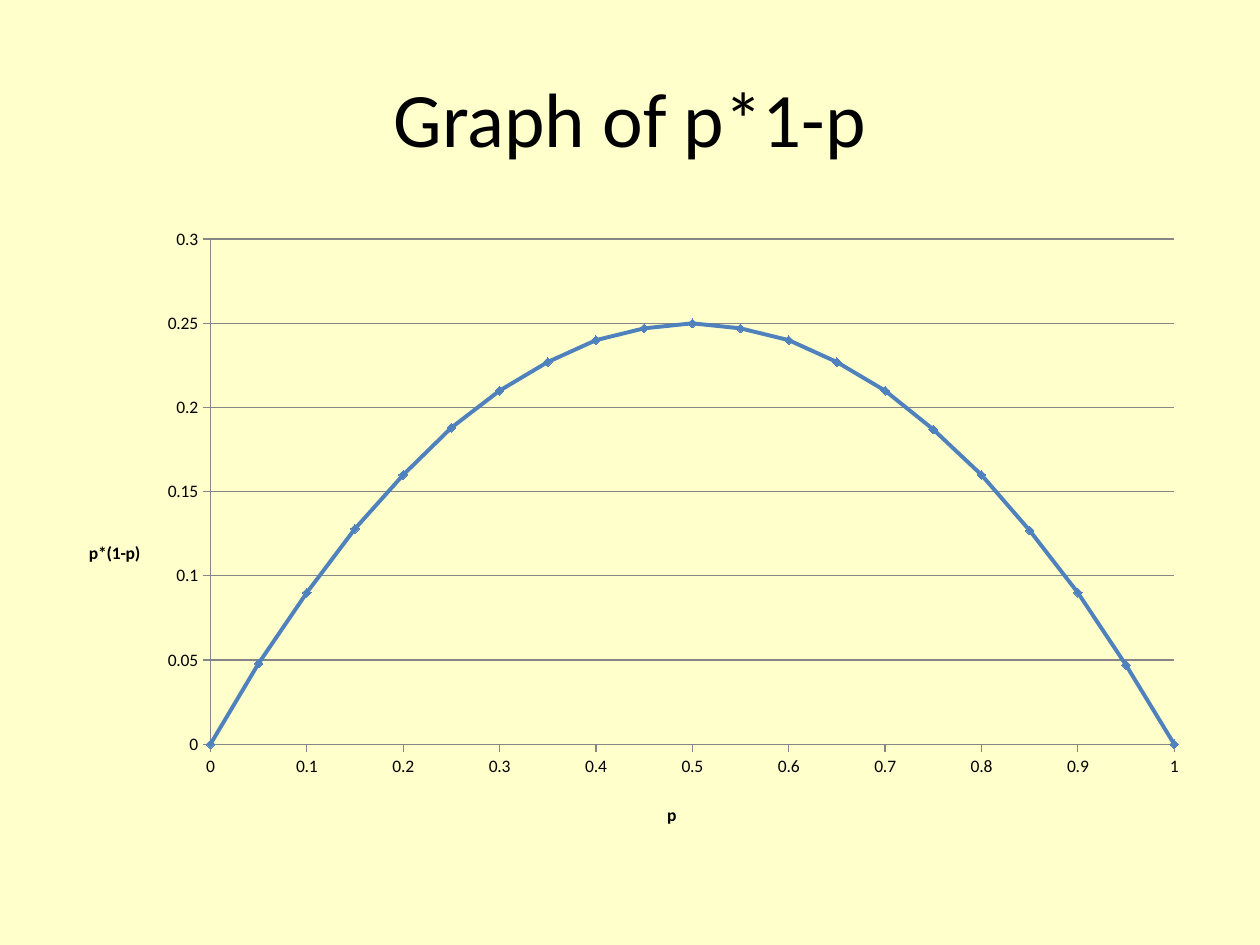
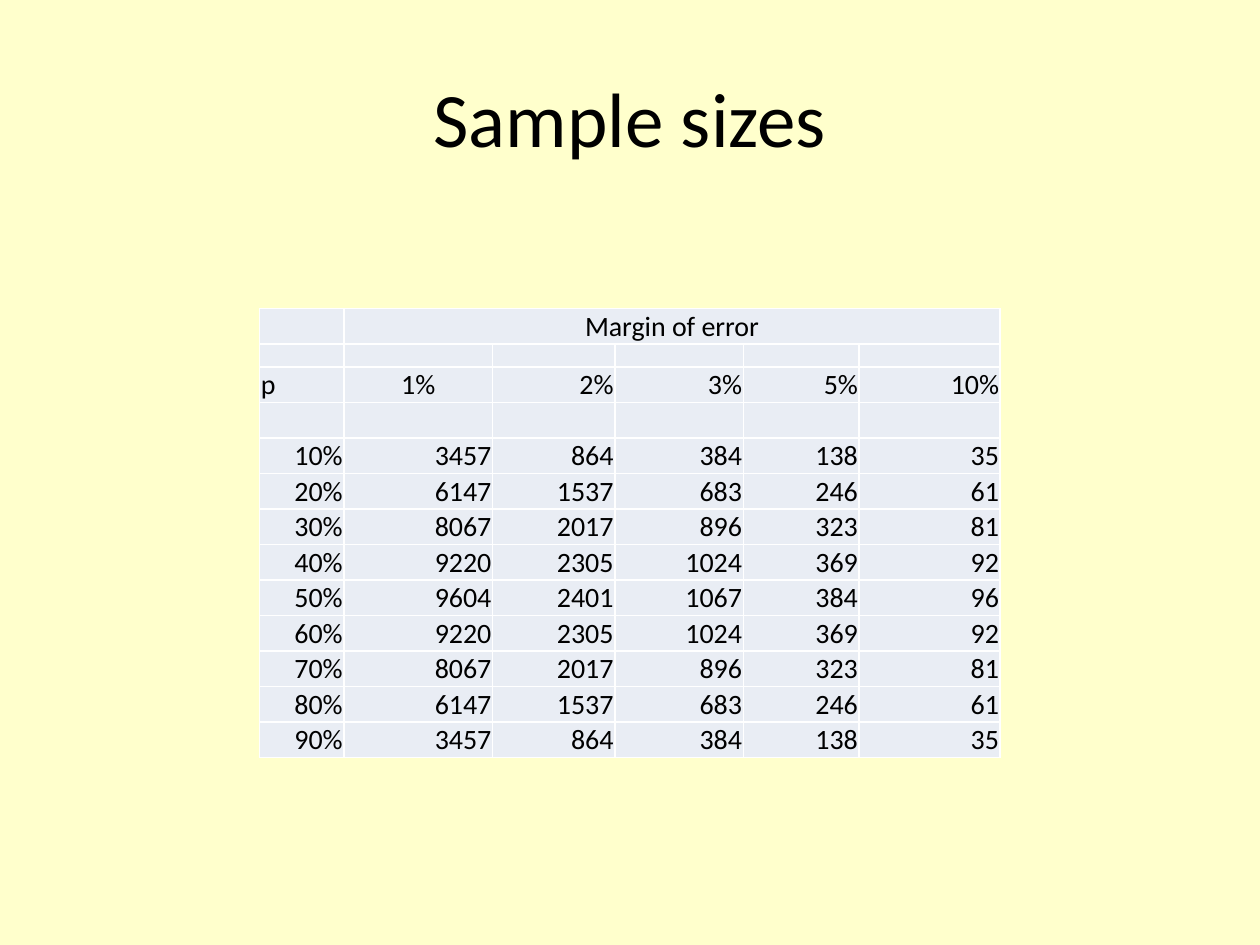
import pptx
import pptx.chart.data
import pptx.dml.color
import pptx.enum.chart
import pptx.enum.text
import pptx.oxml
import pptx.oxml.ns
import pptx.util
from pptx.util import Inches, Pt

COLORS = {
    "background": "FFFFCC",
    "text": "000000",
    "curve": "4F81BD",
    "grid": "868686",
    "cell": "E9EDF4",
    "border": "FFFFFF",
}
FONT = "Calibri"

CURVE_TITLE = "Graph of p*1-p"
CURVE_VALUES = [0, 0.048, 0.09, 0.128, 0.16, 0.188, 0.21, 0.227, 0.24, 0.247, 0.25,
                0.247, 0.24, 0.227, 0.21, 0.187, 0.16, 0.127, 0.09, 0.047, 0]
CURVE_STEP = 0.05
AXIS_TITLES = {"horizontal": "p", "vertical": "p*(1-p)"}

SAMPLE_TITLE = "Sample sizes"
BLANK_ROW = [""] * 6
SAMPLE_ROWS = [
    ["", "Margin of error", "", "", "", ""],
    BLANK_ROW,
    ["p", "1%", "2%", "3%", "5%", "10%"],
    BLANK_ROW,
    ["10%", "3457", "864", "384", "138", "35"],
    ["20%", "6147", "1537", "683", "246", "61"],
    ["30%", "8067", "2017", "896", "323", "81"],
    ["40%", "9220", "2305", "1024", "369", "92"],
    ["50%", "9604", "2401", "1067", "384", "96"],
    ["60%", "9220", "2305", "1024", "369", "92"],
    ["70%", "8067", "2017", "896", "323", "81"],
    ["80%", "6147", "1537", "683", "246", "61"],
    ["90%", "3457", "864", "384", "138", "35"],
]
COLUMN_WIDTHS = [0.67, 1.18, 0.97, 1.02, 0.92, 1.12]
TABLE_HEIGHT = 3.55
SPACER_ROW, SPACER_HEIGHT = 1, 0.18
ALIGN = pptx.enum.text.PP_ALIGN
CELL_ALIGNMENTS = {(0, 1): ALIGN.CENTER, (2, 0): ALIGN.LEFT, (2, 1): ALIGN.CENTER}


def rgb(name):
    return pptx.dml.color.RGBColor.from_string(COLORS[name])


def style_font(font, size, bold=False):
    font.name = FONT
    font.size = Pt(size)
    font.bold = bold
    font.color.rgb = rgb("text")


def add_titled_slide(presentation, title):
    slide = presentation.slides.add_slide(presentation.slide_layouts[5])
    shape = slide.shapes.title
    shape.left, shape.top = Inches(0.5), Inches(0.3)
    shape.width, shape.height = Inches(9), Inches(1.25)
    frame = shape.text_frame
    frame.text = title
    frame.vertical_anchor = pptx.enum.text.MSO_ANCHOR.MIDDLE
    frame.paragraphs[0].alignment = ALIGN.CENTER
    style_font(frame.paragraphs[0].runs[0].font, 44)
    return slide


def set_layout(element, index, settings):
    for layout in element.findall(pptx.oxml.ns.qn("c:layout")):
        element.remove(layout)
    entries = "".join(f'<c:{key} val="{value}"/>' for key, value in settings.items())
    element.insert(index, pptx.oxml.parse_xml(
        f'<c:layout {pptx.oxml.ns.nsdecls("c")}><c:manualLayout>{entries}</c:manualLayout></c:layout>'))


def style_axis(axis, title, maximum, unit, title_place):
    axis.minimum_scale, axis.maximum_scale, axis.major_unit = 0, maximum, unit
    axis.major_tick_mark = pptx.enum.chart.XL_TICK_MARK.OUTSIDE
    axis.minor_tick_mark = pptx.enum.chart.XL_TICK_MARK.NONE
    axis.tick_labels.number_format = "General"
    axis.tick_labels.number_format_is_linked = False
    axis.format.line.color.rgb = rgb("grid")
    axis.format.line.width = Pt(0.75)
    frame = axis.axis_title.text_frame
    frame.text = title
    style_font(frame.paragraphs[0].runs[0].font, 10, True)
    frame._txBody.bodyPr.set("rot", "0")
    frame._txBody.bodyPr.set("vert", "horz")
    x, y = title_place
    set_layout(axis.axis_title._element, 1, {"xMode": "edge", "yMode": "edge", "x": x, "y": y})


def add_curve(slide):
    data = pptx.chart.data.XyChartData()
    points = data.add_series("Series 1")
    for index, value in enumerate(CURVE_VALUES):
        points.add_data_point(round(index * CURVE_STEP, 2), value)
    chart = slide.shapes.add_chart(
        pptx.enum.chart.XL_CHART_TYPE.XY_SCATTER_SMOOTH,
        Inches(0.5), Inches(1.75), Inches(9), Inches(4.95), data).chart
    chart.has_legend = False
    chart.has_title = False
    style_font(chart.font, 10)
    chart.plots[0].vary_by_categories = False

    horizontal, vertical = chart.category_axis, chart.value_axis
    style_axis(horizontal, AXIS_TITLES["horizontal"], 1, 0.1, (0.53, 0.93))
    style_axis(vertical, AXIS_TITLES["vertical"], 0.3, 0.05, (0.02, 0.51))
    horizontal.has_major_gridlines = False
    vertical.has_major_gridlines = True
    vertical.major_gridlines.format.line.color.rgb = rgb("grid")
    vertical.major_gridlines.format.line.width = Pt(0.75)

    series = chart.plots[0].series[0]
    series.smooth = True
    series.format.line.color.rgb = rgb("curve")
    series.format.line.width = Pt(2.25)
    series.marker.style = pptx.enum.chart.XL_MARKER_STYLE.DIAMOND
    series.marker.size = 5
    series.marker.format.fill.solid()
    series.marker.format.fill.fore_color.rgb = rgb("curve")
    series.marker.format.line.color.rgb = rgb("curve")
    plot_area = chart._chartSpace.chart.plotArea
    set_layout(plot_area, 0, {"layoutTarget": "inner", "xMode": "edge", "yMode": "edge",
                              "x": 0.13, "y": 0.03, "w": 0.85, "h": 0.81})


def style_cell(cell, text, alignment):
    cell.margin_left = cell.margin_right = cell.margin_top = Inches(0.01)
    cell.margin_bottom = 0
    cell.vertical_anchor = pptx.enum.text.MSO_ANCHOR.BOTTOM
    cell.fill.solid()
    cell.fill.fore_color.rgb = rgb("cell")
    properties = cell._tc.get_or_add_tcPr()
    for index, side in enumerate(("lnL", "lnR", "lnT", "lnB")):
        properties.insert(index, pptx.oxml.parse_xml(
            f'<a:{side} {pptx.oxml.ns.nsdecls("a")} w="{Pt(1)}"><a:solidFill>'
            f'<a:srgbClr val="{COLORS["border"]}"/></a:solidFill></a:{side}>'))
    paragraph = cell.text_frame.paragraphs[0]
    if text:
        paragraph.text = text
        paragraph.alignment = alignment
        style_font(paragraph.runs[0].font, 16)
    else:
        paragraph._p.append(pptx.oxml.parse_xml(
            f'<a:endParaRPr {pptx.oxml.ns.nsdecls("a")} sz="800"/>'))


def add_sample_table(slide):
    table = slide.shapes.add_table(
        len(SAMPLE_ROWS), len(COLUMN_WIDTHS), Inches(2.06), Inches(2.45),
        Inches(sum(COLUMN_WIDTHS)), Inches(TABLE_HEIGHT)).table
    table.first_row = table.horz_banding = False
    for column, width in zip(table.columns, COLUMN_WIDTHS):
        column.width = Inches(width)
    row_height = (TABLE_HEIGHT - SPACER_HEIGHT) / (len(SAMPLE_ROWS) - 1)
    for row_index, texts in enumerate(SAMPLE_ROWS):
        height = SPACER_HEIGHT if row_index == SPACER_ROW else row_height
        table.rows[row_index].height = Inches(height)
        for column_index, text in enumerate(texts):
            alignment = CELL_ALIGNMENTS.get((row_index, column_index), ALIGN.RIGHT)
            style_cell(table.cell(row_index, column_index), text, alignment)
    table.cell(0, 1).merge(table.cell(0, 5))


def main():
    presentation = pptx.Presentation()
    presentation.slide_width, presentation.slide_height = Inches(10), Inches(7.5)
    background = presentation.slide_master.background.fill
    background.solid()
    background.fore_color.rgb = rgb("background")
    add_curve(add_titled_slide(presentation, CURVE_TITLE))
    add_sample_table(add_titled_slide(presentation, SAMPLE_TITLE))
    presentation.save("out.pptx")


if __name__ == "__main__":
    main()
